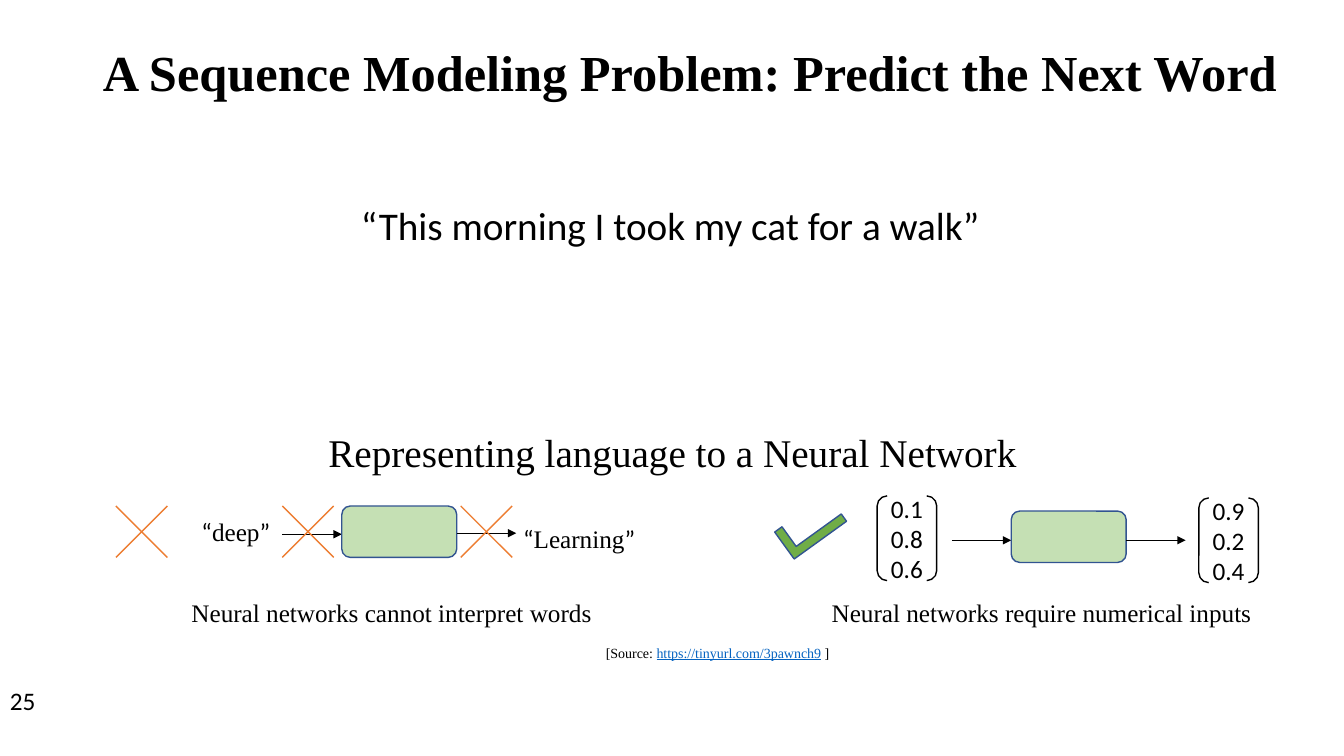
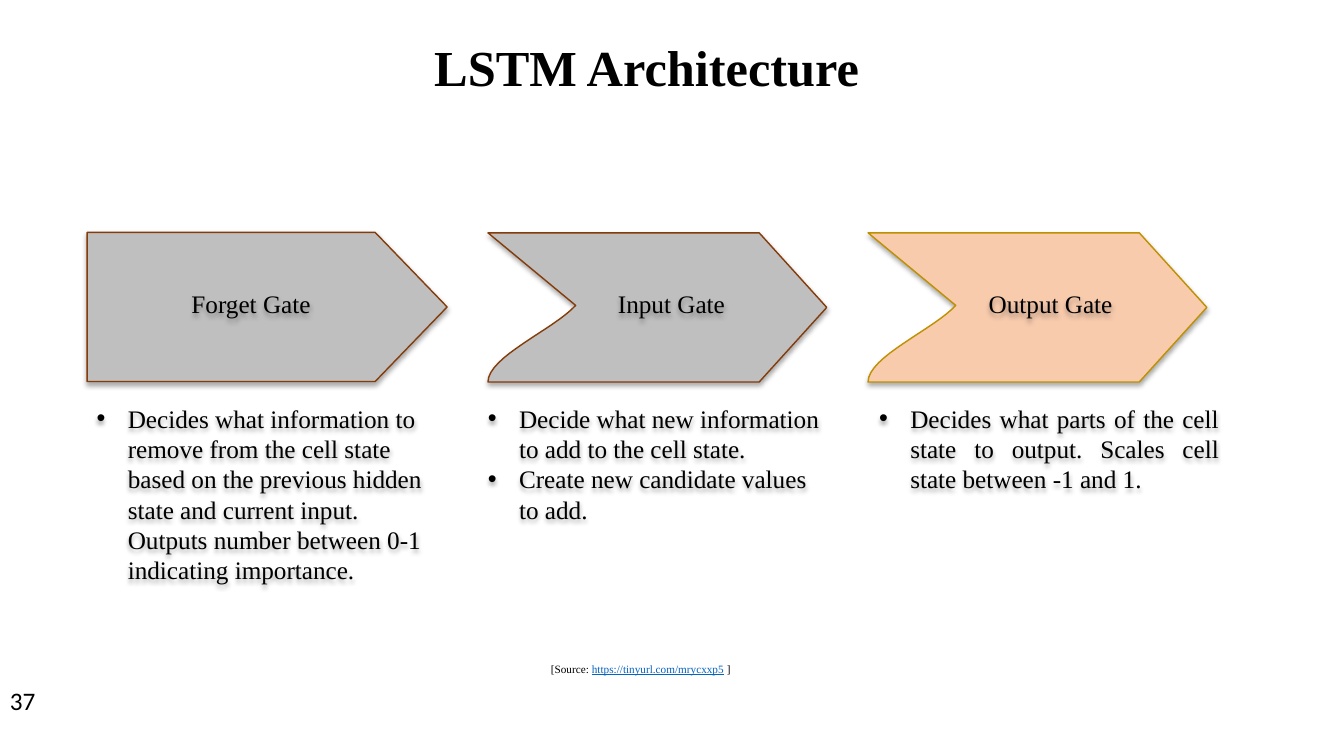
from dataclasses import dataclass
from typing import Optional, Union

from lxml.etree import SubElement
from pptx import Presentation
from pptx.dml.color import RGBColor
from pptx.enum.shapes import MSO_CONNECTOR as Link, MSO_SHAPE as Preset
from pptx.enum.text import MSO_ANCHOR as Anchor, PP_ALIGN as Align
from pptx.oxml.ns import qn
from pptx.util import Inches, Pt

SERIF, SANS = "Times New Roman", "Calibri"
BLACK, LINK_BLUE, NAVY, ORANGE = "000000", "0563C1", "325491", "ED7D31"
PALE_GREEN, GREEN = "C5E0B4", "70AD47"
GREY, BROWN, PEACH, GOLD = "BFBFBF", "843C0B", "F8CBAD", "BF9000"


@dataclass(frozen=True)
class Box:
    left: float
    top: float
    width: float
    height: float

    def lengths(self) -> list:
        return [Inches(side) for side in (self.left, self.top, self.width, self.height)]


@dataclass(frozen=True)
class Span:
    text: str
    font: str = SERIF
    color: str = BLACK
    underline: bool = False


@dataclass(frozen=True)
class Para:
    spans: tuple
    align: Align = Align.LEFT
    indent: float = 0
    spacing: Optional[float] = None
    before: float = 0


@dataclass(frozen=True)
class Gate:
    name: str
    label_left: float
    fill: str
    outline: str
    bullets: tuple
    align: Align = Align.LEFT
    notch_left: Optional[float] = None


GATES = (
    Gate("Forget Gate", 1.12, GREY, BROWN,
         ("Decides what information to remove from the cell state based on the previous "
          "hidden state and current input. Outputs number between 0-1 indicating importance.",)),
    Gate("Input Gate", 5.29, GREY, BROWN,
         ("Decide what new information to add to the cell state.",
          "Create new candidate values to add."), notch_left=4.84),
    Gate("Output Gate", 9.05, PEACH, GOLD,
         ("Decides what parts of the cell state to output. Scales cell state between -1 and 1.",),
         Align.JUSTIFY, 8.61),
)


def rgb(color: str) -> RGBColor:
    return RGBColor.from_string(color)


def write_text(frame, content: Union[str, tuple], *, size: float = 18, font: str = SERIF,
               align: Align = Align.LEFT, bold: bool = False, bullet: bool = False,
               anchor: Anchor = Anchor.TOP, spacing: Optional[float] = None) -> None:
    frame.word_wrap = True
    frame.vertical_anchor = anchor
    items = (content,) if isinstance(content, str) else content
    for index, item in enumerate(items):
        if isinstance(item, str):
            item = Para((Span(item, font),), align, spacing=spacing)
        para = frame.paragraphs[0] if index == 0 else frame.add_paragraph()
        properties = para._p.get_or_add_pPr()
        if bullet:
            properties.set("marL", str(Inches(0.31)))
            properties.set("indent", str(Inches(-0.31)))
            SubElement(properties, qn("a:buFont"), typeface="Arial")
            SubElement(properties, qn("a:buChar"), char="•")
        elif item.indent:
            properties.set("marL", str(Inches(item.indent)))
        para.alignment = item.align
        if item.spacing:
            para.line_spacing = item.spacing
        if item.before:
            para.space_before = Pt(item.before)
        for span in item.spans:
            run = para.add_run()
            run.text = span.text
            run.font.name = span.font
            run.font.size = Pt(size)
            run.font.bold = bold
            run.font.underline = span.underline
            run.font.color.rgb = rgb(span.color)


def add_text(page, box: Box, content: Union[str, tuple], **text_format):
    shape = page.shapes.add_textbox(*box.lengths())
    write_text(shape.text_frame, content, **text_format)
    return shape


def style_shape(shape, fill: Optional[str], outline: str) -> None:
    shape.shadow.inherit = False
    if fill:
        shape.fill.solid()
        shape.fill.fore_color.rgb = rgb(fill)
    else:
        shape.fill.background()
    shape.line.color.rgb = rgb(outline)
    shape.line.width = Pt(1)


def add_preset(page, preset: Preset, box: Box, fill: Optional[str], outline: str,
               rotation: float = 0):
    shape = page.shapes.add_shape(preset, *box.lengths())
    style_shape(shape, fill, outline)
    shape.rotation = rotation
    return shape


def cast_shadow(shape) -> None:
    shape.shadow.inherit = False
    effects = shape._element.spPr.find(qn("a:effectLst"))
    shadow = SubElement(effects, qn("a:outerShdw"), blurRad=str(Pt(3.5)), dist=str(Pt(2.2)),
                        dir="5400000", algn="ctr", rotWithShape="0")
    color = SubElement(shadow, qn("a:srgbClr"), val=BLACK)
    SubElement(color, qn("a:alpha"), val="32000")


def add_line(page, x1: float, y1: float, x2: float, y2: float, color: str,
             arrow: bool = False) -> None:
    line = page.shapes.add_connector(Link.STRAIGHT, Inches(x1), Inches(y1), Inches(x2), Inches(y2))
    line.line.color.rgb = rgb(color)
    line.line.width = Pt(1)
    if arrow:
        SubElement(line.line._get_or_add_ln(), qn("a:tailEnd"), type="triangle")
    SubElement(line._element.spPr, qn("a:effectLst"))


def add_cross(page, left: float) -> None:
    top, size = 5.02, 0.51
    add_line(page, left, top, left + size, top + size, ORANGE)
    add_line(page, left + size, top, left, top + size, ORANGE)


def add_network(page, left: float, top: float, arrow_in: float, arrow_out: float) -> None:
    width, reach = 1.14, 0.59
    add_line(page, left - reach, arrow_in, left, arrow_in, BLACK, arrow=True)
    add_preset(page, Preset.ROUNDED_RECTANGLE, Box(left, top, width, 0.51), PALE_GREEN, NAVY)
    add_line(page, left + width, arrow_out, left + width + reach, arrow_out, BLACK, arrow=True)


def add_vector(page, left: float, top: float, values: tuple) -> None:
    vector = add_preset(page, Preset.DOUBLE_BRACKET, Box(left, top, 0.59, 0.84), None, BLACK)
    frame = vector.text_frame
    frame.margin_left = frame.margin_right = 0
    write_text(frame, values, font=SANS, align=Align.CENTER, anchor=Anchor.MIDDLE)


def add_quoted_word(page, box: Box, word: str) -> None:
    add_text(page, box, (Para((Span("“", SANS), Span(word), Span("”", SANS))),))


def add_frame(page, title: str, title_box: Box, number: str, address: str,
              source_box: Box, source_size: float, source_align: Align) -> None:
    add_text(page, title_box, title, size=36, bold=True, align=Align.CENTER,
             anchor=Anchor.MIDDLE, spacing=0.9)
    add_text(page, Box(0, 6.75, 3, 0.4), number, font=SANS)
    spans = (Span("[Source: "), Span(address, color=LINK_BLUE, underline=True), Span(" ]"))
    add_text(page, source_box, (Para(spans, source_align),), size=source_size)


def add_notched_arrow(page, left: float):
    top, middle, bottom = 2.31, 3.05, 3.79
    curve = ((left, bottom), (left, 3.54), (left + 0.65, 3.27), (left + 0.87, 3.03))
    steps = 16
    points = []
    for step in range(1, steps + 1):
        t = step / steps
        weights = ((1 - t) ** 3, 3 * t * (1 - t) ** 2, 3 * t * t * (1 - t), t ** 3)
        points.append(tuple(sum(weight * point[axis] for weight, point in zip(weights, curve))
                            for axis in (0, 1)))
    points += [(left, top), (left + 2.69, top), (left + 3.36, middle), (left + 2.69, bottom)]
    builder = page.shapes.build_freeform(Inches(left), Inches(bottom))
    builder.add_line_segments([(Inches(x), Inches(y)) for x, y in points], close=True)
    return builder.convert_to_shape()


def add_gate(page, gate: Gate, column: int) -> None:
    if gate.notch_left is None:
        arrow = add_preset(page, Preset.FLOWCHART_OFFPAGE_CONNECTOR,
                           Box(1.91, 1.26, 1.48, 3.57), gate.fill, gate.outline, 270)
    else:
        arrow = add_notched_arrow(page, gate.notch_left)
        style_shape(arrow, gate.fill, gate.outline)
    label = add_text(page, Box(gate.label_left, 2.81, 2.74, 0.4), gate.name, align=Align.CENTER)
    details = add_text(page, Box(0.86 + 3.88 * column, 3.95, 3.57, 1.92), gate.bullets,
                       align=gate.align, bullet=True)
    for shape in (arrow, label, details):
        cast_shadow(shape)


def build_sequence_page(page) -> None:
    add_frame(page, "A Sequence Modeling Problem: Predict the Next Word",
              Box(0.25, 0.02, 13.19, 1.45), "25", "https://tinyurl.com/3pawnch9",
              Box(5.91, 6.34, 5.58, 0.27), 10, Align.LEFT)
    add_text(page, Box(0.92, 2, 11.5, 2.9), (
        Para((Span("“This morning I took my cat for a walk”", SANS),), indent=2.56, spacing=0.9),
        Para((Span("Representing language to a Neural Network"),), Align.CENTER,
             spacing=0.9, before=132),
    ), size=28)

    add_quoted_word(page, Box(1.9, 5.07, 0.99, 0.4), "deep")
    add_network(page, 3.39, 5.02, 5.3, 5.29)
    for left in (1.15, 2.8, 4.57):
        add_cross(page, left)
    add_quoted_word(page, Box(5.09, 5.14, 1.36, 0.4), "Learning")

    check = add_preset(page, Preset.CORNER, Box(7.72, 5.06, 0.64, 0.33), GREEN, NAVY, 324.2)
    check.adjustments[0] = check.adjustments[1] = 0.27
    add_vector(page, 8.7, 4.92, ("0.1", "0.8", "0.6"))
    add_network(page, 10.03, 5.07, 5.36, 5.36)
    add_vector(page, 11.89, 4.94, ("0.9", "0.2", "0.4"))

    add_text(page, Box(1.8, 5.88, 4.35, 0.4), "Neural networks cannot interpret words")
    add_text(page, Box(8.15, 5.88, 4.49, 0.4), "Neural networks require numerical inputs")


def build_gates_page(page) -> None:
    add_frame(page, "LSTM Architecture", Box(0.86, 0.34, 11.11, 0.71), "37",
              "https://tinyurl.com/mrycxxp5", Box(4.01, 6.52, 4.69, 0.24), 8, Align.CENTER)
    for column, gate in enumerate(GATES):
        add_gate(page, gate, column)


def main() -> None:
    deck = Presentation()
    deck.slide_width, deck.slide_height = Inches(13.33), Inches(7.5)
    for build_page in (build_sequence_page, build_gates_page):
        build_page(deck.slides.add_slide(deck.slide_layouts[6]))
    deck.save("out.pptx")


if __name__ == "__main__":
    main()
